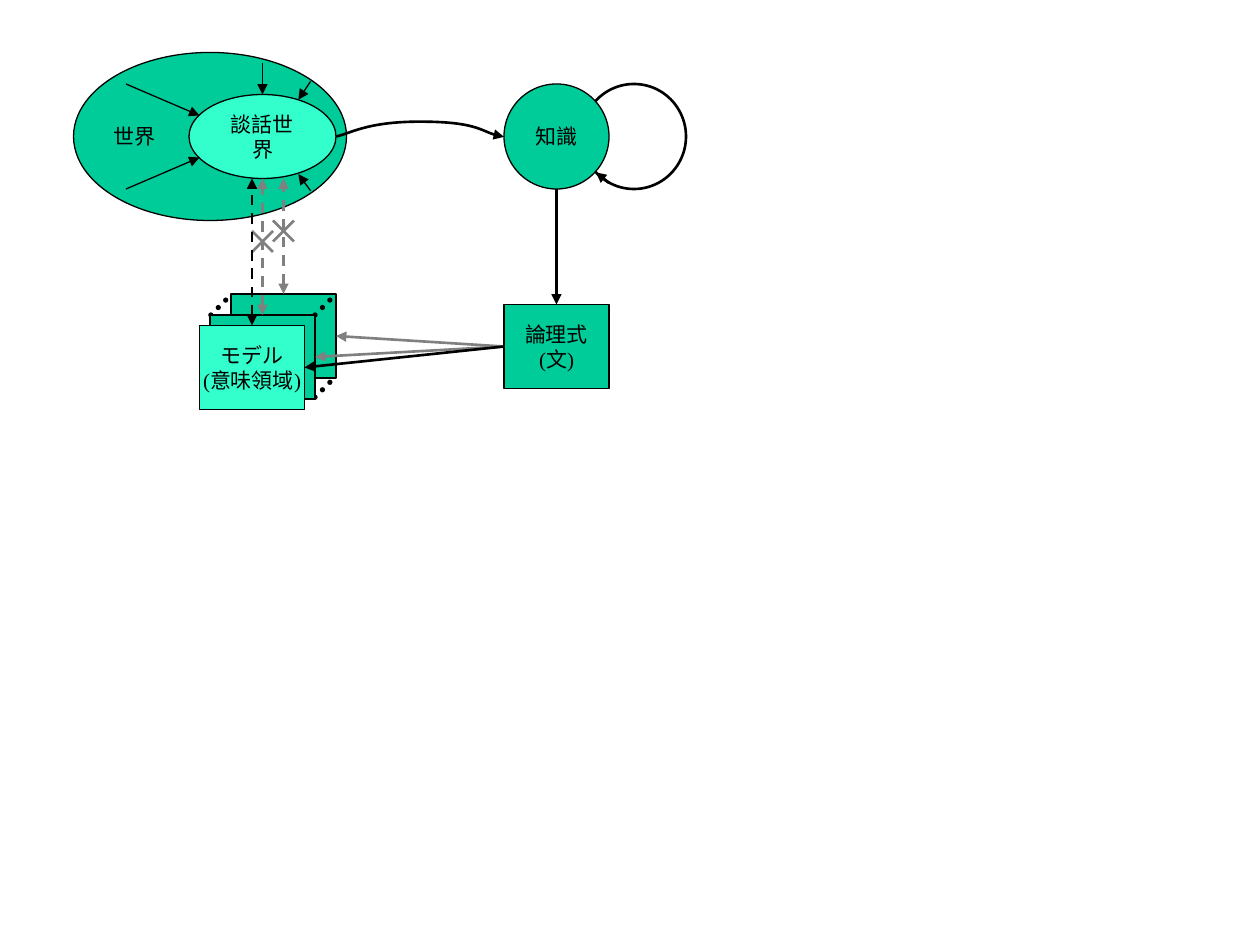
from lxml.etree import SubElement
from pptx import Presentation
from pptx.dml.color import RGBColor
from pptx.enum.dml import MSO_LINE
from pptx.enum.shapes import MSO_CONNECTOR, MSO_SHAPE
from pptx.enum.text import MSO_ANCHOR, PP_ALIGN
from pptx.oxml.ns import qn
from pptx.util import Pt

BLACK, GRAY, GREEN, MINT = "000000", "808080", "00CC99", "33FFCC"


def color(hex_value):
    return RGBColor.from_string(hex_value)


def style_line(item, hex_value, width, dash=None, ends=()):
    item.line.color.rgb = color(hex_value)
    item.line.width = Pt(width)
    if dash:
        item.line.dash_style = dash
    outline = item.line._get_or_add_ln()
    if dash == MSO_LINE.ROUND_DOT:
        outline.set("cap", "rnd")
    for end in ends:
        SubElement(outline, qn(f"a:{end}End"), type="triangle")


def add_node(slide, kind, box, fill=None, lines=(), width=0.75, wrap=False,
             align=PP_ALIGN.CENTER, left_inset=7.2):
    node = slide.shapes.add_shape(kind, *map(Pt, box))
    node.shadow.inherit = False
    if fill:
        node.fill.solid()
        node.fill.fore_color.rgb = color(fill)
    else:
        node.fill.background()
    style_line(node, BLACK, width)
    if not lines:
        return
    frame = node.text_frame
    frame.word_wrap = wrap
    frame.vertical_anchor = MSO_ANCHOR.MIDDLE
    frame.margin_left = Pt(left_inset)
    frame.text = "\n".join(lines)
    for paragraph in frame.paragraphs:
        paragraph.alignment = align
        paragraph.font.name = "Times New Roman"
        paragraph.font.size = Pt(12)
        paragraph.font.color.rgb = color(BLACK)


def add_line(slide, start, finish, hex_value=BLACK, width=1.5, dash=None, ends=("tail",)):
    link = slide.shapes.add_connector(MSO_CONNECTOR.STRAIGHT, *map(Pt, start + finish))
    SubElement(link._element.spPr, qn("a:effectLst"))
    style_line(link, hex_value, width, dash, ends)


def add_cross(slide, x, y, half=6):
    for rise in (half, -half):
        add_line(slide, (x - half, y - rise), (x + half, y + rise), GRAY, ends=())


def add_curve(slide, start, controls):
    builder = slide.shapes.build_freeform(*map(Pt, start))
    builder.add_line_segments([tuple(map(Pt, point)) for point in controls], close=False)
    curve = builder.convert_to_shape()
    curve.shadow.inherit = False
    curve.fill.background()
    style_line(curve, BLACK, 1.5, ends=("tail",))
    outline = curve._element.find(".//" + qn("a:path"))
    segments = outline.findall(qn("a:lnTo"))
    for first in range(0, len(segments), 3):
        bezier = SubElement(outline, qn("a:cubicBezTo"))
        for segment in segments[first:first + 3]:
            bezier.append(segment[0])
            outline.remove(segment)


def add_worlds(slide):
    add_node(slide, MSO_SHAPE.OVAL, (332.5, 48, 59.5, 60), width=1.5)
    add_line(slide, (348, 104.5), (340.5, 98.5))
    add_node(slide, MSO_SHAPE.OVAL, (42, 30, 156, 96), GREEN, ["世界"],
             wrap=True, align=PP_ALIGN.LEFT, left_inset=0)
    add_node(slide, MSO_SHAPE.OVAL, (108, 54, 84, 48), MINT, ["談話世界"], wrap=True)
    add_node(slide, MSO_SHAPE.OVAL, (288, 48, 60, 60), GREEN, ["知識"])
    add_curve(slide, (192, 78), [(200, 76.5), (209, 69.5), (240, 69.5),
                                 (271, 69.5), (278, 77), (288, 78.2)])


def add_models(slide):
    add_node(slide, MSO_SHAPE.RECTANGLE, (288, 174, 60, 48), GREEN, ["論理式", "(文)"])
    add_node(slide, MSO_SHAPE.RECTANGLE, (132, 168, 60, 48), GREEN)
    for x, y in ((180, 180), (120.5, 180), (180, 227)):
        add_line(slide, (x, y), (x + 12, y - 12), width=3, dash=MSO_LINE.ROUND_DOT, ends=())
    add_node(slide, MSO_SHAPE.RECTANGLE, (120, 180, 60, 48), GREEN)
    add_node(slide, MSO_SHAPE.RECTANGLE, (114, 186, 60, 48), MINT, ["モデル", "(意味領域)"])


def add_links(slide):
    for x, model_top, cross_y in ((150, 180, 138), (162, 168, 132), (144, 186, None)):
        add_line(slide, (x, model_top), (x, 102), GRAY if cross_y else BLACK,
                 dash=MSO_LINE.DASH, ends=("head", "tail"))
        if cross_y:
            add_cross(slide, x, cross_y)
    for model_side, hex_value in (((180, 204), GRAY), ((192, 192), GRAY), ((174, 210), BLACK)):
        add_line(slide, (288, 198), model_side, hex_value)
    add_line(slide, (318, 108), (318, 174))
    for outer, inner in (((150, 36), (150, 54)), ((72, 48), (114, 66)), ((72, 108), (114, 90)),
                         ((177.5, 109), (170.5, 99.5)), ((177.5, 46.5), (170.5, 57))):
        add_line(slide, outer, inner, width=0.75)


def main():
    deck = Presentation()
    deck.slide_width, deck.slide_height = Pt(720), Pt(540)
    slide = deck.slides.add_slide(deck.slide_layouts[6])
    add_worlds(slide)
    add_models(slide)
    add_links(slide)
    deck.save("out.pptx")


if __name__ == "__main__":
    main()
